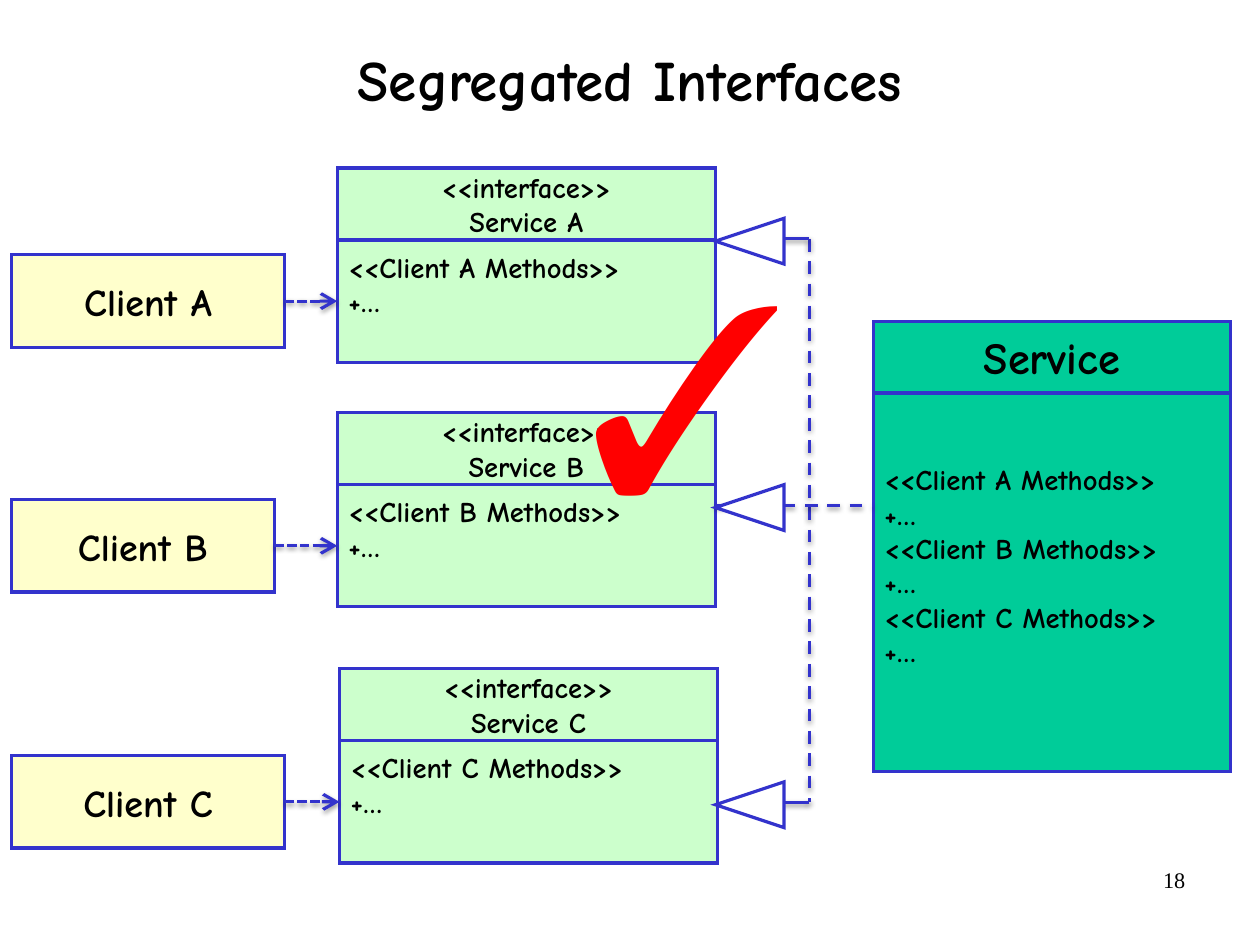
from dataclasses import dataclass

from lxml.etree import SubElement
from pptx import Presentation
from pptx.dml.color import RGBColor
from pptx.enum.dml import MSO_LINE
from pptx.enum.shapes import MSO_CONNECTOR, MSO_SHAPE
from pptx.enum.text import MSO_ANCHOR, PP_ALIGN
from pptx.oxml import parse_xml
from pptx.oxml.ns import nsdecls, qn
from pptx.util import Inches, Pt


@dataclass(frozen=True)
class Theme:
    font: str = "Comic Neue"
    serif: str = "Times New Roman"
    ink: str = "000000"
    edge: str = "3333CC"
    client: str = "FFFFCC"
    face: str = "CCFFCC"
    service: str = "00CC99"
    white: str = "FFFFFF"
    tick: str = "FF0000"
    title: int = 36
    name: int = 28
    label: int = 24
    body: int = 18
    page: int = 14
    mark: int = 166
    line: int = 2


THEME = Theme()
SHADOW = (
    f'<a:effectLst {nsdecls("a")}><a:outerShdw blurRad="39370" dist="20320" '
    'dir="5400000" rotWithShape="0"><a:srgbClr val="000000">'
    '<a:alpha val="38000"/></a:srgbClr></a:outerShdw></a:effectLst>'
)


def color(code):
    return RGBColor.from_string(code)


def write(frame, text, size, align=PP_ALIGN.LEFT, font=THEME.font, ink=THEME.ink, bold=True):
    frame.word_wrap = True
    frame.text = text
    for para in frame.paragraphs:
        para.alignment = align
        for run in para.runs:
            run.font.name = font
            run.font.size = Pt(size)
            run.font.bold = bold
            run.font.color.rgb = color(ink)


def add_form(slide, kind, left, top, width, height, fill):
    """Add a filled preset shape with the common outline and sharp corners."""
    form = slide.shapes.add_shape(kind, Inches(left), Inches(top), Inches(width), Inches(height))
    form.shadow.inherit = False
    form.fill.solid()
    form.fill.fore_color.rgb = color(fill)
    form.line.color.rgb = color(THEME.edge)
    form.line.width = Pt(THEME.line)
    SubElement(form.line._get_or_add_ln(), qn("a:miter"), lim="800000")
    return form


def add_box(slide, left, top, width, height, fill, text, size, align=PP_ALIGN.CENTER):
    box = add_form(slide, MSO_SHAPE.RECTANGLE, left, top, width, height, fill)
    write(box.text_frame, text, size, align)
    box.text_frame.vertical_anchor = MSO_ANCHOR.MIDDLE
    return box


def add_class(slide, left, top, width, height, fill, head, size, body):
    """Add a class: a name box above a member box, whose top is given."""
    members = add_box(slide, left, top, width, height, fill, body, THEME.body, PP_ALIGN.LEFT)
    members.text_frame.margin_bottom = Inches(0.35)
    add_box(slide, left, top - 0.63, width, 0.63, fill, head, size)
    return members


def add_line(slide, x1, y1, x2, y2, dash=None):
    line = slide.shapes.add_connector(
        MSO_CONNECTOR.STRAIGHT, Inches(x1), Inches(y1), Inches(x2), Inches(y2))
    line.line.color.rgb = color(THEME.edge)
    line.line.width = Pt(THEME.line)
    if dash:
        line.line.dash_style = dash
    line._element.spPr.append(parse_xml(SHADOW))
    return line


def add_arrow(slide, start, end):
    """Join the right side of one box to the left side of another."""
    arrow = add_line(slide, 0, 0, 1, 1, MSO_LINE.SQUARE_DOT)
    arrow.begin_connect(start, 3)
    arrow.end_connect(end, 1)
    SubElement(arrow.line._get_or_add_ln(), qn("a:tailEnd"), type="arrow", w="lg", len="lg")


def add_head(slide, mid):
    """Add a hollow triangle pointing left, centred on the height mid."""
    head = add_form(slide, MSO_SHAPE.ISOSCELES_TRIANGLE, 6.36, mid - 0.3, 0.4, 0.6, THEME.white)
    head.rotation = 270


def add_text(slide, left, top, width, height, text, size, **style):
    box = slide.shapes.add_textbox(Inches(left), Inches(top), Inches(width), Inches(height))
    write(box.text_frame, text, size, font=THEME.serif, **style)


def set_title(slide, text):
    title = slide.shapes.title
    title.left, title.top = Inches(0.55), Inches(0.36)
    title.width, title.height = Inches(9.92), Inches(0.74)
    frame = title.text_frame
    write(frame, text, THEME.title, PP_ALIGN.CENTER)
    frame.vertical_anchor = MSO_ANCHOR.MIDDLE
    frame.margin_left = frame.margin_right = frame.margin_top = frame.margin_bottom = 0
    frame.paragraphs[0].line_spacing = 0.88


def main():
    deck = Presentation()
    deck.slide_width, deck.slide_height = Pt(793.75), Pt(595.25)
    slide = deck.slides.add_slide(deck.slide_layouts[5])
    set_title(slide, "Segregated Interfaces")
    add_text(slide, 7.9, 7.53, 2.57, 0.57, "18", THEME.page, align=PP_ALIGN.RIGHT, bold=False)

    rows = [("A", 2.1, 2.39, 2.95), ("B", 4.24, 2.3, 2.95), ("C", 6.48, 2.39, 2.97)]
    methods = {key: f"<<Client {key} Methods>>\n+…" for key, *_ in rows}
    add_class(slide, 7.64, 3.44, 3.13, 3.31, THEME.service, "Service", THEME.name,
              "\n".join(methods.values()))
    for key, top, width, left in rows:
        client = add_box(slide, 0.1, top + 0.13, width, 0.81, THEME.client,
                         f"Client {key}", THEME.label)
        face = add_class(slide, left, top, 3.31, 1.07, THEME.face,
                         f"<<interface>>\nService {key}", THEME.body, methods[key])
        add_arrow(slide, client, face)

    add_line(slide, 7.08, 2.09, 7.08, 7.02, MSO_LINE.DASH)
    add_line(slide, 6.26, 4.42, 7.64, 4.42, MSO_LINE.DASH)
    for level in (2.09, 7.02):
        add_line(slide, 7.08, level, 6.6, level)
    for mid in (2.11, 4.44, 7.04):
        add_head(slide, mid)
    add_text(slide, 5.04, 1.95, 1.38, 2.89, "✓", THEME.mark, ink=THEME.tick)
    deck.save("out.pptx")


if __name__ == "__main__":
    main()
